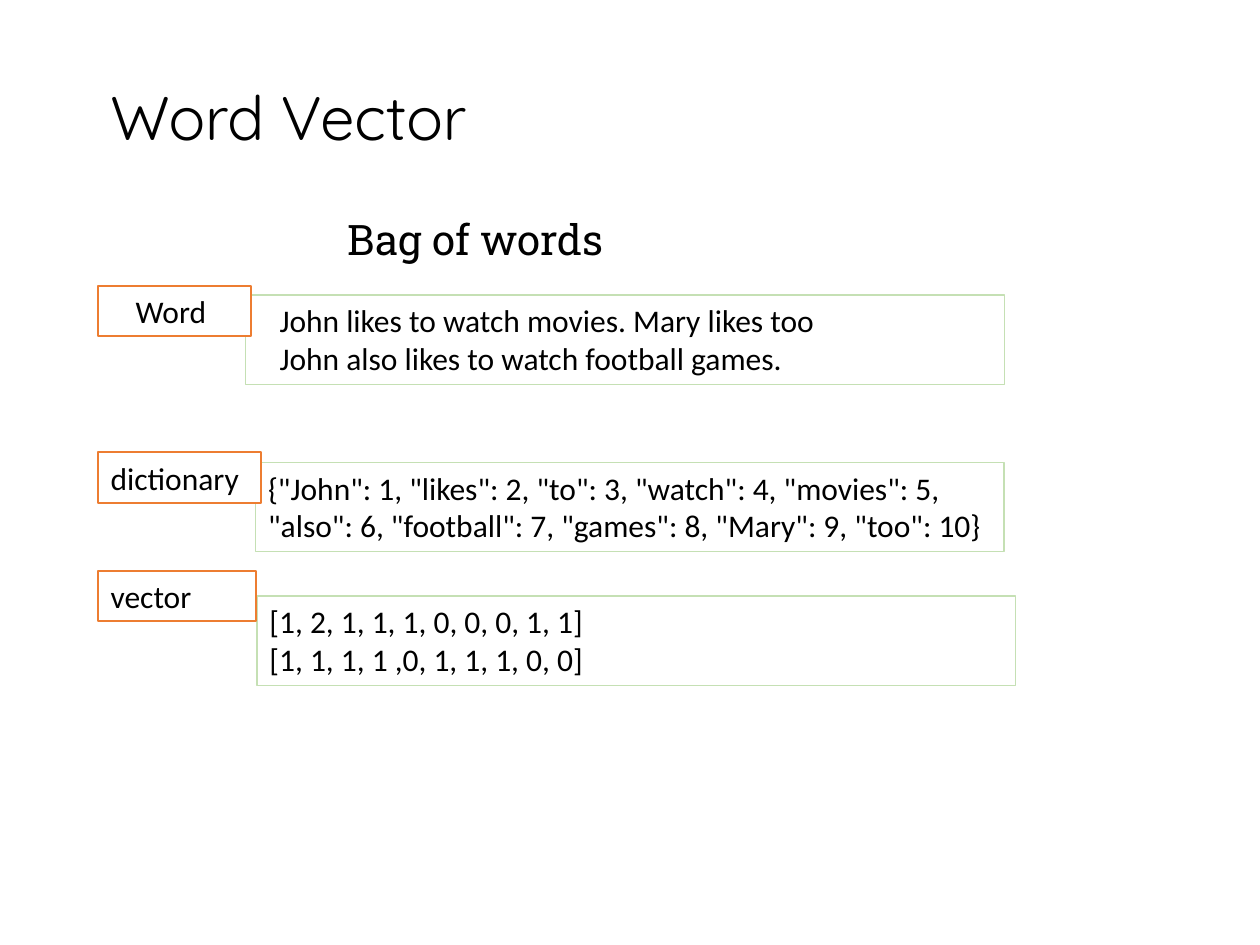
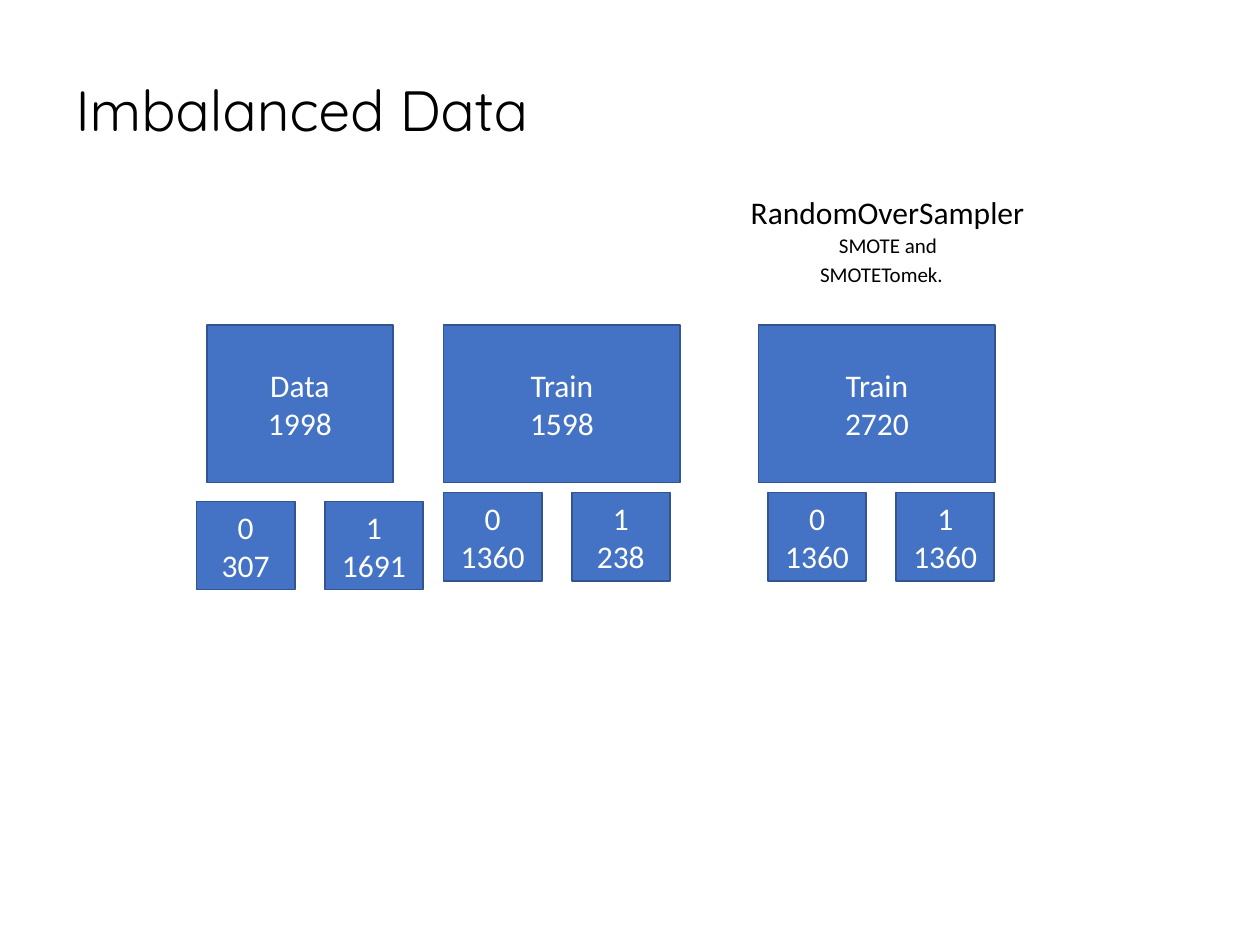
from dataclasses import dataclass

from pptx import Presentation
from pptx.dml.color import RGBColor
from pptx.enum.shapes import MSO_SHAPE
from pptx.enum.text import MSO_ANCHOR, MSO_AUTO_SIZE, PP_ALIGN
from pptx.util import Inches, Pt

RECT = MSO_SHAPE.RECTANGLE
TOP, MIDDLE = MSO_ANCHOR.TOP, MSO_ANCHOR.MIDDLE
FIXED, GROW = MSO_AUTO_SIZE.NONE, MSO_AUTO_SIZE.SHAPE_TO_FIT_TEXT
LEFT, CENTER = PP_ALIGN.LEFT, PP_ALIGN.CENTER
WIDE, HIGH = Inches(10), Inches(7.5)
COLS, ROWS = 100, 75
TITLE_ONLY = 5


@dataclass(frozen=True)
class Theme:
    """Hold the colours, fonts and type sizes of the deck."""
    ink: str = "000000"
    paper: str = "FFFFFF"
    green: str = "C5E0B4"
    orange: str = "ED7D31"
    blue: str = "4472C4"
    navy: str = "325491"
    sans: str = "Calibri"
    round: str = "Quicksand"
    slab: str = "Roboto Slab"
    head: float = 35.1
    title: float = 32.4
    sub: float = 24
    body: float = 18
    small: float = 12


T = Theme()


def grid(box):
    """Turn a box in columns and rows into slide lengths."""
    x, y, w, h = box
    col, row = WIDE / COLS, HIGH / ROWS
    return [round(n) for n in (x * col, y * row, w * col, h * row)]


def write(shape, text, size=T.body, font=T.sans, color=T.ink, align=LEFT,
          anchor=TOP, wrap=True, indent=0, lead=None):
    """Fill a shape with formatted text, one paragraph a line."""
    frame = shape.text_frame
    frame.text = text
    frame.word_wrap = wrap
    frame.auto_size = FIXED if wrap else GROW
    frame.vertical_anchor = anchor
    for para in frame.paragraphs:
        para.alignment = align
        if lead:
            para.line_spacing = lead
        if indent:
            para._p.get_or_add_pPr().set("indent", str(Inches(indent)))
        para.font.size = Pt(size)
        para.font.name = font
        para.font.color.rgb = RGBColor.from_string(color)


def title(slide, box, text, **form):
    """Move and format the title placeholder."""
    head = slide.shapes.title
    head.left, head.top, head.width, head.height = grid(box)
    write(head, text, anchor=MIDDLE, lead=0.9, **form)


def label(slide, box, text, **form):
    """Place plain text."""
    write(slide.shapes.add_textbox(*grid(box)), text, **form)


def panel(slide, box, text, line, fill=None, weight=1, **form):
    """Place an outlined rectangle with text."""
    shape = slide.shapes.add_shape(RECT, *grid(box))
    shape.shadow.inherit = False
    if fill:
        shape.fill.solid()
        shape.fill.fore_color.rgb = RGBColor.from_string(fill)
    else:
        shape.fill.background()
    shape.line.color.rgb = RGBColor.from_string(line)
    shape.line.width = Pt(weight)
    write(shape, text, **form)


def step(slide, box, tag, field, tag_w, field_w, tag_form, indent=0):
    """Put a field at the box's lower right and its tag at the upper left."""
    x, y, w, h = box
    tag_h, field_h = 4, 7.1
    panel(slide, (x + w - field_w, y + h - field_h, field_w, field_h), field,
          T.green, weight=0.75, indent=indent)
    panel(slide, (x, y, tag_w, tag_h), tag, T.orange, T.paper, **tag_form)


def block(slide, box, text):
    """Place a blue block with centred white text."""
    panel(slide, box, text, T.navy, T.blue, color=T.paper, align=CENTER,
          anchor=MIDDLE)


def split(slide, box, name, counts, dx, dy):
    """Place a data set's block with its class counts beneath."""
    x, y, w, h = box
    pitch, part_w, part_h = 10.17, 7.8, 7
    block(slide, box, f"{name}\n{sum(counts)}")
    for i, count in enumerate(counts):
        block(slide, (x + dx + i * pitch, y + h + dy, part_w, part_h),
              f"{i}\n{count}")


def words(slide):
    """Build the bag of words slide."""
    title(slide, (26.6, 15.6, 35.6, 7.2), "Bag of words",
          size=T.sub, font=T.slab)
    step(slide, (7.8, 22.7, 71.9, 7.8), "Word ",
         "John likes to watch movies. Mary likes too\n"
         "John also likes to watch football games.",
         12.1, 60.2, {"align": CENTER}, indent=0.17)
    step(slide, (7.8, 35.9, 71.9, 7.9), "dictionary",
         '{"John": 1, "likes": 2, "to": 3, "watch": 4, "movies": 5, '
         '"also": 6, "football": 7, "games": 8, "Mary": 9, "too": 10}',
         12.9, 59.4, {"wrap": False})
    step(slide, (7.8, 45.3, 72.8, 9.1), "vector",
         "[1, 2, 1, 1, 1, 0, 0, 0, 1, 1]\n[1, 1, 1, 1 ,0, 1, 1, 1, 0, 0]",
         12.5, 60.2, {})
    label(slide, (5.1, 5.6, 35.6, 7.2), "Word Vector", size=T.head,
          font=T.round, align=CENTER, anchor=MIDDLE)


def data(slide):
    """Build the imbalanced data slide."""
    title(slide, (5, 4.7, 45, 8.5), "Imbalanced Data",
          size=T.title, font=T.round)
    label(slide, (58.6, 14.8, 24, 4), "RandomOverSampler", wrap=False)
    label(slide, (65.6, 18, 10.3, 3), "SMOTE and", size=T.small, wrap=False)
    label(slide, (64.1, 20.3, 11.9, 3), "SMOTETomek.", size=T.small,
          wrap=False)
    top, high = 25.8, 12.5
    for x, w, name, counts, dx, dy in (
            (16.4, 14.8, "Data", (307, 1691), -0.8, 1.5),
            (35.2, 18.8, "Train", (1360, 238), 0, 0.8),
            (60.2, 18.8, "Train", (1360, 1360), 0.75, 0.8)):
        split(slide, (x, top, w, high), name, counts, dx, dy)


def main():
    """Build and save the deck."""
    deck = Presentation()
    deck.slide_width, deck.slide_height = WIDE, HIGH
    for build in (words, data):
        build(deck.slides.add_slide(deck.slide_layouts[TITLE_ONLY]))
    deck.save("out.pptx")


if __name__ == "__main__":
    main()
